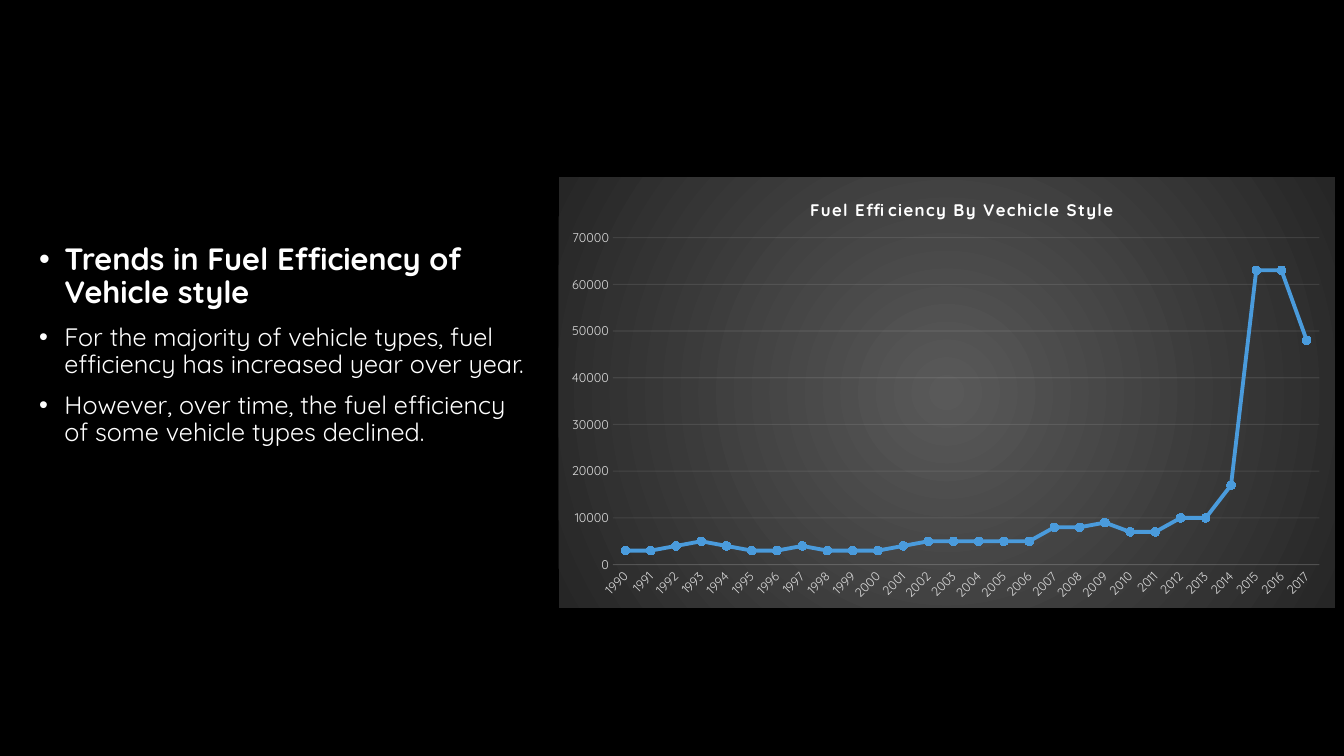
from lxml import etree
from pptx import Presentation
from pptx.chart.data import CategoryChartData
from pptx.dml.color import RGBColor
from pptx.enum.chart import XL_CHART_TYPE, XL_MARKER_STYLE, XL_TICK_MARK
from pptx.oxml import parse_xml
from pptx.oxml.ns import nsdecls, qn
from pptx.util import Inches, Pt

LINE_MARKERS = XL_CHART_TYPE.LINE_MARKERS
CIRCLE = XL_MARKER_STYLE.CIRCLE
NO_TICK = XL_TICK_MARK.NONE

BLACK = RGBColor(0x00, 0x00, 0x00)
WHITE = RGBColor(0xFF, 0xFF, 0xFF)
LABEL_GREY = RGBColor(0xD9, 0xD9, 0xD9)
RULE_GREY = RGBColor(0xF2, 0xF2, 0xF2)
PANEL_CENTRE = RGBColor(0x59, 0x59, 0x59)
PANEL_EDGE = RGBColor(0x26, 0x26, 0x26)
LINE_BLUE = RGBColor(0x4A, 0x9B, 0xDC)
MARKER_BLUE = RGBColor(0x43, 0x9C, 0xE3)
FONT = "Quicksand"

# text, size, bold
BULLETS = [
    ("Trends in Fuel Efficiency of Vehicle style", 22, True),
    ("For the majority of vehicle types, fuel efficiency has increased year over year.", 18, False),
    ("However, over time, the fuel efficiency of some vehicle types declined.", 18, False),
]
CHART_TITLE = "Fuel Efficiency By Vechicle Style"
FIRST_YEAR = 1990
EFFICIENCY = [
    3000, 3000, 4000, 5000, 4000, 3000, 3000, 4000, 3000, 3000,
    3000, 4000, 5000, 5000, 5000, 5000, 5000, 8000, 8000, 9000,
    7000, 7000, 10000, 10000, 17000, 63000, 63000, 48000,
]
# left, top, width, height in inches
TEXT_BOX = (0.29, 2.37, 5.11, 3.23)
CHART_BOX = (5.54, 1.76, 7.7, 4.27)
# shares of the chart's size
TITLE_PLACE = {"x": 0.32, "y": 0.04}
PLOT_PLACE = {"x": 0.07, "y": 0.14, "w": 0.91, "h": 0.76}


def style_font(font, size, color, bold=False):
    font.name = FONT
    font.size = Pt(size)
    font.bold = bold
    font.color.rgb = color


def add_bullets(slide):
    frame = slide.shapes.add_textbox(*map(Inches, TEXT_BOX)).text_frame
    frame.word_wrap = True
    for index, (text, size, bold) in enumerate(BULLETS):
        paragraph = frame.paragraphs[0] if index == 0 else frame.add_paragraph()
        paragraph.text = text
        paragraph.line_spacing = 0.9
        paragraph.space_before = Pt(10)
        style_font(paragraph.font, size, WHITE, bold)
        properties = paragraph._p.get_or_add_pPr()
        properties.set("marL", str(Inches(0.25)))
        properties.set("indent", str(-Inches(0.25)))
        bullet_font = parse_xml(f'<a:buFont {nsdecls("a")} typeface="Arial"/>')
        bullet = parse_xml(f'<a:buChar {nsdecls("a")} char="•"/>')
        properties.find(qn("a:defRPr")).addprevious(bullet_font)
        bullet_font.addnext(bullet)


def style_faint_line(line):
    """Thin rule at ten percent opacity."""
    line.width = Pt(0.75)
    line.color.rgb = RULE_GREY
    color = line._get_or_add_ln().find(".//" + qn("a:srgbClr"))
    etree.SubElement(color, qn("a:alpha")).set("val", "10000")


def fill_panel(chart):
    """Radial gradient behind the whole chart, without a border."""
    panel = parse_xml(
        f'<c:spPr {nsdecls("c", "a")}><a:gradFill><a:gsLst>'
        f'<a:gs pos="0"><a:srgbClr val="{PANEL_CENTRE}"/></a:gs>'
        f'<a:gs pos="100000"><a:srgbClr val="{PANEL_EDGE}"/></a:gs></a:gsLst>'
        '<a:path path="circle"><a:fillToRect l="50000" t="50000" r="50000" b="50000"/></a:path>'
        '</a:gradFill><a:ln><a:noFill/></a:ln></c:spPr>')
    chart._chartSpace.find(qn("c:txPr")).addprevious(panel)


def place_chart_part(part, place):
    """Fix a title or plot area at shares of the chart's size."""
    layout = part.find(qn("c:layout"))
    if layout is None:
        layout = parse_xml(f'<c:layout {nsdecls("c")}/>')
        part.insert(0, layout)
    manual = etree.SubElement(layout, qn("c:manualLayout"))
    if "w" in place:
        etree.SubElement(manual, qn("c:layoutTarget")).set("val", "inner")
    for side in ("x", "y"):
        etree.SubElement(manual, qn(f"c:{side}Mode")).set("val", "edge")
    for side, share in place.items():
        etree.SubElement(manual, qn(f"c:{side}")).set("val", str(share))


def add_chart_title(chart):
    chart.has_title = True
    title = chart.chart_title
    title.include_in_layout = False
    paragraph = title.text_frame.paragraphs[0]
    paragraph.text = CHART_TITLE
    run_font = paragraph.runs[0].font
    style_font(run_font, 12, WHITE, True)
    run_font._element.set("spc", "100")
    place_chart_part(title._element, TITLE_PLACE)


def style_axes(chart):
    category_axis, value_axis = chart.category_axis, chart.value_axis
    for axis in (category_axis, value_axis):
        axis.major_tick_mark = axis.minor_tick_mark = NO_TICK
        style_font(axis.tick_labels.font, 9, LABEL_GREY)
    style_faint_line(category_axis.format.line)
    label_body = category_axis._element.find(qn("c:txPr")).find(qn("a:bodyPr"))
    label_body.set("rot", "-2700000")
    label_body.set("vert", "horz")
    value_axis.minimum_scale, value_axis.maximum_scale = 0, 70000
    value_axis.major_unit = 10000
    value_axis.format.line.fill.background()
    style_faint_line(value_axis.major_gridlines.format.line)


def style_series(plot):
    plot.vary_by_categories = False
    series = plot.series[0]
    series.smooth = False
    series.format.line.width = Pt(2.75)
    series.format.line.color.rgb = LINE_BLUE
    marker = series.marker
    marker.style = CIRCLE
    marker.size = 6
    marker.format.fill.solid()
    marker.format.fill.fore_color.rgb = MARKER_BLUE
    marker.format.line.color.rgb = MARKER_BLUE


def add_efficiency_chart(slide):
    data = CategoryChartData()
    data.categories = [str(FIRST_YEAR + offset) for offset in range(len(EFFICIENCY))]
    data.add_series("Series 1", EFFICIENCY)
    chart = slide.shapes.add_chart(LINE_MARKERS, *map(Inches, CHART_BOX), data).chart
    style_font(chart.font, 10, WHITE)
    chart.has_legend = False
    fill_panel(chart)
    add_chart_title(chart)
    place_chart_part(chart._chartSpace.chart.plotArea, PLOT_PLACE)
    style_axes(chart)
    style_series(chart.plots[0])


def main():
    presentation = Presentation()
    presentation.slide_width = Inches(13.33)
    presentation.slide_height = Inches(7.5)
    slide = presentation.slides.add_slide(presentation.slide_layouts[6])
    slide.background.fill.solid()
    slide.background.fill.fore_color.rgb = BLACK
    add_bullets(slide)
    add_efficiency_chart(slide)
    presentation.save("out.pptx")


if __name__ == "__main__":
    main()
